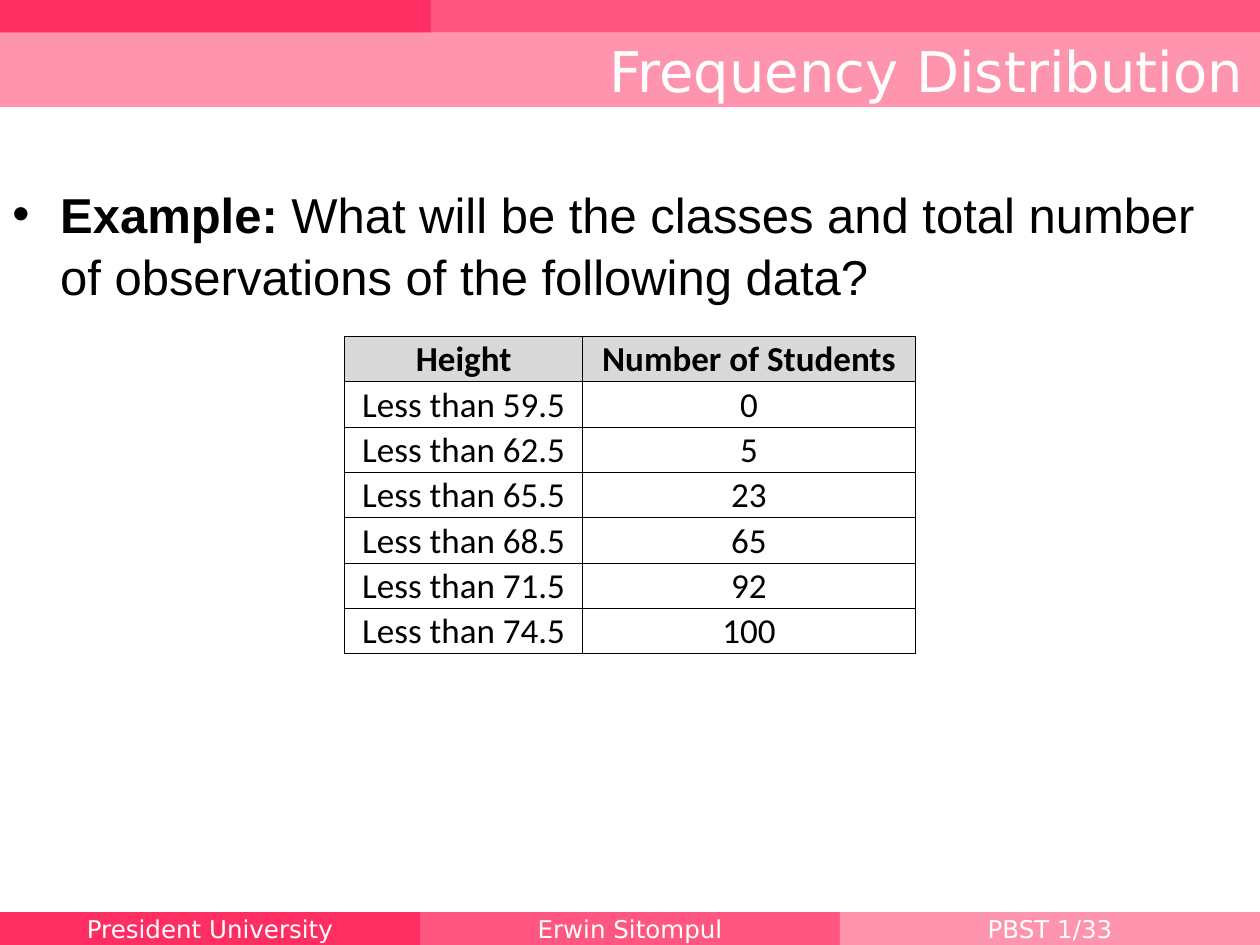
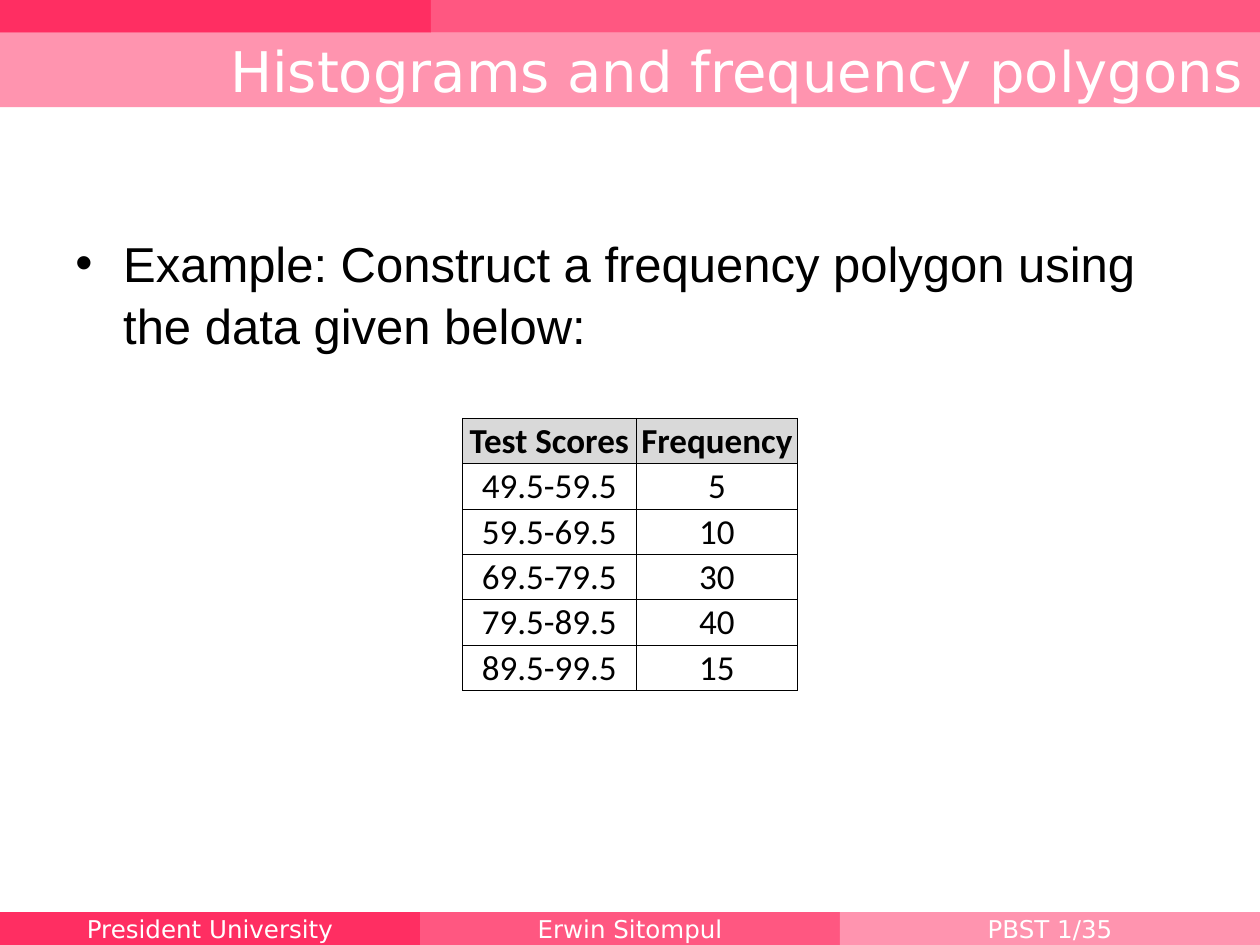
from pptx import Presentation
from pptx import util as u
from pptx.dml.color import RGBColor
from pptx.enum import shapes, text
from pptx.oxml import parse_xml
from pptx.oxml.ns import nsdecls

COLOURS = {
    "deep": "FF2E62", "mid": "FF5781", "light": "FF94AF",
    "white": "FFFFFF", "black": "000000", "header": "D9D9D9",
}
WIDTH, HEIGHT = 10, 7.5
STRIP = 0.26                      # height of the top and footer strips
TITLE_BAND = 0.59
SPLIT = 3.42                      # where the top strip changes colour
THIRD = WIDTH / 3
ROW = 0.36
INDENT = 0.38

BANDS = [
    ("light", 0, STRIP, WIDTH, TITLE_BAND),
    ("deep", 0, 0, SPLIT, STRIP),
    ("mid", SPLIT, 0, WIDTH - SPLIT, STRIP),
]

PAGES = [
    {
        "title": "Frequency Distribution",
        "number": "PBST 1/33",
        "body_at": (0, 1.36, WIDTH, 1.31),
        "body": [("Example: ", True),
                 ("What will be the classes and total number of observations "
                  "of the following data?", False)],
        "table_top": 2.67,
        "columns": (1.89, 2.64),
        "rows": [("Height", "Number of Students"),
                 ("Less than 59.5", "0"), ("Less than 62.5", "5"),
                 ("Less than 65.5", "23"), ("Less than 68.5", "65"),
                 ("Less than 71.5", "92"), ("Less than 74.5", "100")],
    },
    {
        "title": "Histograms and frequency polygons",
        "number": "PBST 1/35",
        "body_at": (0.5, 1.75, 9, 4.95),
        "body": [("Example: Construct a frequency polygon using the data "
                  "given below:", False)],
        "table_top": 3.32,
        "columns": (1.38, 1.28),
        "rows": [("Test Scores", "Frequency"),
                 ("49.5-59.5", "5"), ("59.5-69.5", "10"),
                 ("69.5-79.5", "30"), ("79.5-89.5", "40"),
                 ("89.5-99.5", "15")],
    },
]


def add_span(para, words, font="DejaVu Sans", size=14, colour="white",
             bold=False, align=text.PP_ALIGN.CENTER):
    para.alignment = align
    span = para.add_run()
    span.text = words
    span.font.name = font
    span.font.size = u.Pt(size)
    span.font.bold = bold
    span.font.color.rgb = RGBColor.from_string(COLOURS[colour])


def add_band(page, colour, *place):
    band = page.shapes.add_shape(shapes.MSO_SHAPE.RECTANGLE,
                                 *[u.Inches(length) for length in place])
    band.shadow.inherit = False
    band.fill.solid()
    band.fill.fore_color.rgb = RGBColor.from_string(COLOURS[colour])
    band.line.fill.background()
    return band


deck = Presentation()
deck.slide_width, deck.slide_height = u.Inches(WIDTH), u.Inches(HEIGHT)

for content in PAGES:
    page = deck.slides.add_slide(deck.slide_layouts[6])

    # Bands and footer
    for band in BANDS:
        add_band(page, *band)
    footers = [("deep", "President University"), ("mid", "Erwin Sitompul"),
               ("light", content["number"])]
    for index, (colour, words) in enumerate(footers):
        frame = add_band(page, colour, index * THIRD, HEIGHT - STRIP,
                         THIRD, STRIP).text_frame
        frame.word_wrap = False
        frame.vertical_anchor = text.MSO_ANCHOR.MIDDLE
        add_span(frame.paragraphs[0], words)

    # Title
    box = page.shapes.add_textbox(0, u.Inches(0.31), u.Inches(9.97), u.Inches(0.49))
    box.text_frame.word_wrap = True
    box.text_frame.vertical_anchor = text.MSO_ANCHOR.MIDDLE
    add_span(box.text_frame.paragraphs[0], content["title"], size=32,
             align=text.PP_ALIGN.RIGHT)

    # Question with a bullet
    box = page.shapes.add_textbox(*[u.Inches(length) for length in content["body_at"]])
    box.text_frame.word_wrap = True
    box.text_frame.margin_top = u.Inches(0.08)
    para = box.text_frame.paragraphs[0]
    para.line_spacing = 1.05
    settings = para._p.get_or_add_pPr()
    settings.set("marL", str(u.Inches(INDENT)))
    settings.set("indent", str(-u.Inches(INDENT)))
    settings.append(parse_xml(f'<a:buFont {nsdecls("a")} typeface="Arial"/>'))
    settings.append(parse_xml(f'<a:buChar {nsdecls("a")} char="•"/>'))
    for words, bold in content["body"]:
        add_span(para, words, font="Arial", size=28, colour="black", bold=bold,
                 align=text.PP_ALIGN.LEFT)

    # Table, centred across the slide
    rows, columns = content["rows"], content["columns"]
    table_width = sum(columns)
    table = page.shapes.add_table(
        len(rows), len(columns), u.Inches((WIDTH - table_width) / 2),
        u.Inches(content["table_top"]), u.Inches(table_width),
        u.Inches(ROW * len(rows))).table
    for column, width in zip(table.columns, columns):
        column.width = u.Inches(width)
    for row_index, row in enumerate(rows):
        is_header = row_index == 0
        for column_index, words in enumerate(row):
            cell = table.cell(row_index, column_index)
            cell.margin_left = cell.margin_right = cell.margin_top = u.Inches(0.01)
            cell.margin_bottom = 0
            cell.vertical_anchor = text.MSO_ANCHOR.MIDDLE
            add_span(cell.text_frame.paragraphs[0], words, font="Calibri",
                     size=20, colour="black", bold=is_header)
            for side in ("lnL", "lnR", "lnT", "lnB"):
                cell._tc.get_or_add_tcPr().append(parse_xml(
                    f'<a:{side} {nsdecls("a")} w="{u.Pt(0.5)}"><a:solidFill>'
                    f'<a:srgbClr val="{COLOURS["black"]}"/></a:solidFill></a:{side}>'))
            cell.fill.solid()
            cell.fill.fore_color.rgb = RGBColor.from_string(
                COLOURS["header" if is_header else "white"])

deck.save("out.pptx")
